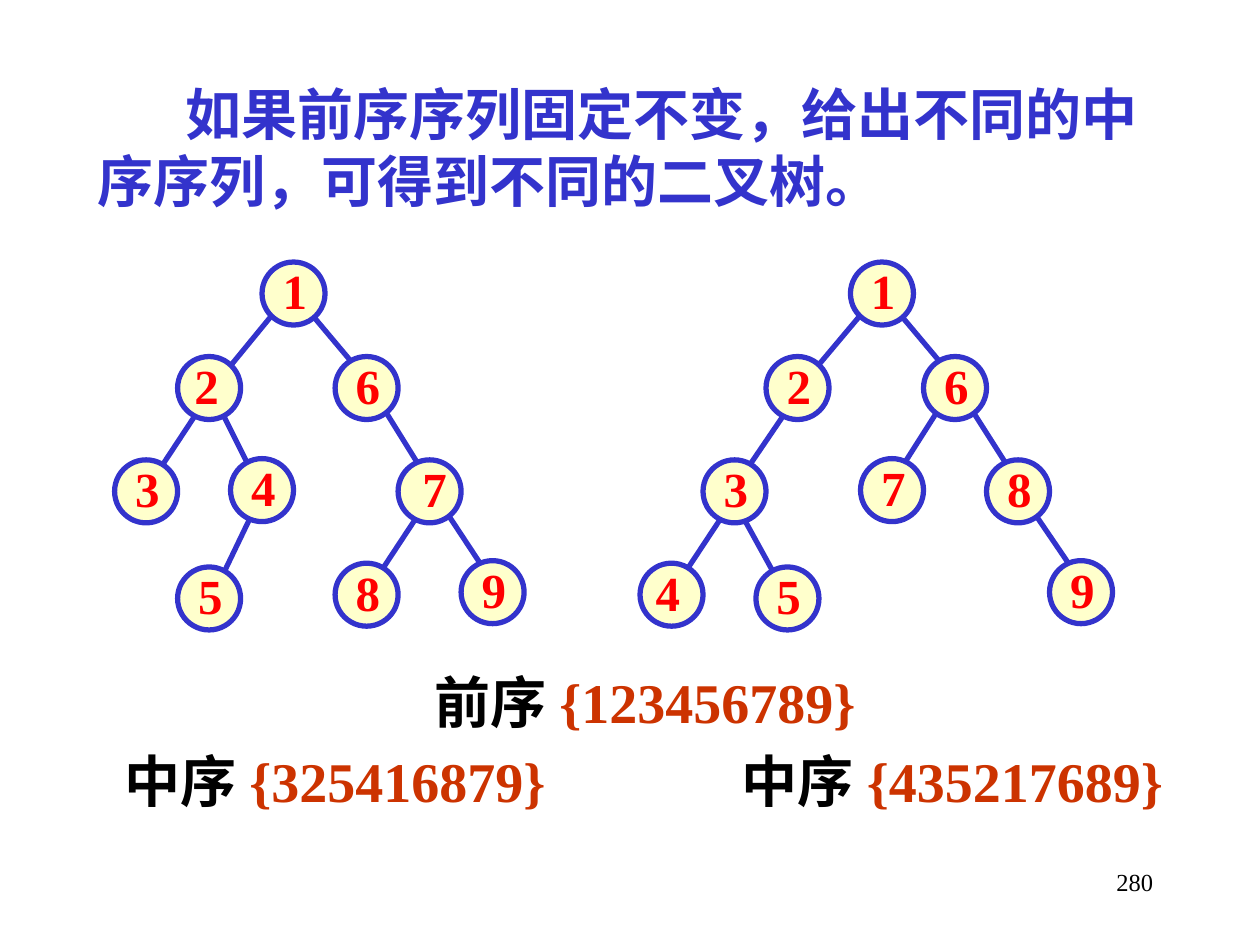
from dataclasses import dataclass
from lxml.etree import SubElement
from pptx import Presentation
from pptx.dml.color import RGBColor
from pptx.enum.shapes import MSO_CONNECTOR as Line, MSO_SHAPE as Shape
from pptx.enum.text import MSO_ANCHOR as Anchor, MSO_AUTO_SIZE as Fit, PP_ALIGN as Align
from pptx.oxml.ns import qn
from pptx.util import Inches, Pt

BLUE = RGBColor(0x33, 0x33, 0xCC)
CREAM = RGBColor(0xFF, 0xFF, 0xCC)
RED = RGBColor(0xFF, 0x00, 0x00)
RUST = RGBColor(0xCC, 0x33, 0x00)
BLACK = RGBColor(0x00, 0x00, 0x00)
SERIF = "Times New Roman"
SIZE = 0.5  # node diameter


@dataclass
class Node:
    key: str
    left: float
    top: float
    shift: float = 0.06  # label offset from the node's left


@dataclass
class Edge:
    x1: float
    y1: float
    x2: float
    y2: float


@dataclass
class Tree:
    nodes: list[Node]
    edges: list[Edge]


TREES = [
    Tree(
        [Node("1", 2.08, 2.08), Node("2", 1.41, 2.83, 0.03), Node("6", 2.66, 2.83),
         Node("3", 0.91, 3.65), Node("4", 1.83, 3.64), Node("7", 3.16, 3.65, 0.09),
         Node("5", 1.41, 4.5), Node("8", 2.66, 4.47), Node("9", 3.66, 4.45)],
        [Edge(2.16, 2.5, 1.75, 3), Edge(2.41, 2.42, 2.83, 2.92),
         Edge(1.58, 3.25, 1.25, 3.75), Edge(1.75, 3.25, 2, 3.75),
         Edge(3, 3.17, 3.41, 3.83), Edge(2, 4.08, 1.75, 4.6),
         Edge(3.33, 4.07, 3, 4.57), Edge(3.5, 4, 3.83, 4.5)],
    ),
    Tree(
        [Node("1", 6.75, 2.08), Node("2", 6.08, 2.83), Node("6", 7.33, 2.83),
         Node("3", 5.58, 3.65), Node("7", 6.83, 3.64), Node("8", 7.83, 3.65),
         Node("4", 5.08, 4.47, 0.02), Node("5", 6, 4.5), Node("9", 8.33, 4.45)],
        [Edge(6.83, 2.5, 6.41, 3), Edge(7.08, 2.42, 7.5, 2.92),
         Edge(6.25, 3.25, 5.91, 3.75), Edge(7.5, 3.17, 7.08, 3.83),
         Edge(7.66, 3.17, 8.08, 3.83), Edge(5.75, 4.07, 5.42, 4.57),
         Edge(5.84, 4, 6.17, 4.6), Edge(8.16, 4, 8.5, 4.5)],
    ),
]


def style(run, size: int, color: RGBColor, bold: bool = True, face: str = SERIF) -> None:
    font = run.font
    font.name, font.size, font.bold = face, Pt(size), bold
    font.color.rgb = color


def add_box(slide, left: float, top: float, width: float, height: float, wrap: bool = True):
    box = slide.shapes.add_textbox(Inches(left), Inches(top), Inches(width), Inches(height))
    box.text_frame.word_wrap = wrap
    return box.text_frame


def draw_edge(slide, edge: Edge) -> None:
    line = slide.shapes.add_connector(
        Line.STRAIGHT, Inches(edge.x1), Inches(edge.y1), Inches(edge.x2), Inches(edge.y2))
    line.line.color.rgb = BLUE
    line.line.width = Pt(3)
    SubElement(line._element.spPr, qn("a:effectLst"))


def draw_node(slide, node: Node) -> None:
    disc = slide.shapes.add_shape(
        Shape.OVAL, Inches(node.left), Inches(node.top), Inches(SIZE), Inches(SIZE))
    disc.shadow.inherit = False
    disc.fill.solid()
    disc.fill.fore_color.rgb = CREAM
    disc.line.color.rgb = BLUE
    disc.line.width = Pt(3)
    frame = add_box(slide, node.left + node.shift, node.top - 0.06, 0.4, 0.57, wrap=False)
    frame.vertical_anchor = Anchor.MIDDLE
    frame.text = node.key
    para = frame.paragraphs[0]
    para.alignment = Align.CENTER
    style(para.runs[0], 28, RED)


def add_order(para, name: str, keys: str) -> None:
    for text, color in ((name + " ", BLACK), ("{" + keys + "}", RUST)):
        run = para.add_run()
        run.text = text
        style(run, 32, color)


def add_tabs(para, *stops: float) -> None:
    tabs = SubElement(para._p.get_or_add_pPr(), qn("a:tabLst"))
    for stop in stops:
        SubElement(tabs, qn("a:tab"), pos=str(Inches(stop)), algn="l")


def main() -> None:
    prs = Presentation()
    prs.slide_width, prs.slide_height = Inches(10), Inches(7.5)
    slide = prs.slides.add_slide(prs.slide_layouts[5])

    # Title statement
    title = slide.shapes.title
    title.left, title.top = Inches(0.67), Inches(0.58)
    title.width, title.height = Inches(8.75), Inches(1.17)
    frame = title.text_frame
    frame.auto_size = Fit.NONE
    frame.vertical_anchor = Anchor.TOP
    frame.text = "如果前序序列固定不变，给出不同的中序序列，可得到不同的二叉树。"
    para = frame.paragraphs[0]
    para.alignment = Align.LEFT
    para._p.get_or_add_pPr().set("indent", str(Inches(0.7)))
    style(para.runs[0], 32, BLUE, face="Arial")

    # Binary trees, edges behind nodes
    for tree in TREES:
        for edge in tree.edges:
            draw_edge(slide, edge)
        for node in tree.nodes:
            draw_node(slide, node)

    # Traversal orders
    frame = add_box(slide, 0.59, 5.25, 9.06, 1.17)
    pre = frame.paragraphs[0]
    pre.alignment = Align.CENTER
    add_order(pre, "前序", "123456789")
    mid = frame.add_paragraph()
    mid.space_before = Pt(6.4)
    add_tabs(mid, 0.3, 5.2)
    for keys in ("325416879", "435217689"):
        add_order(mid, "\t中序", keys)

    # Page number
    frame = add_box(slide, 7.17, 6.83, 2.08, 0.5)
    frame.text = "280"
    para = frame.paragraphs[0]
    para.alignment = Align.RIGHT
    style(para.runs[0], 14, BLACK, bold=False)

    prs.save("out.pptx")


if __name__ == "__main__":
    main()
